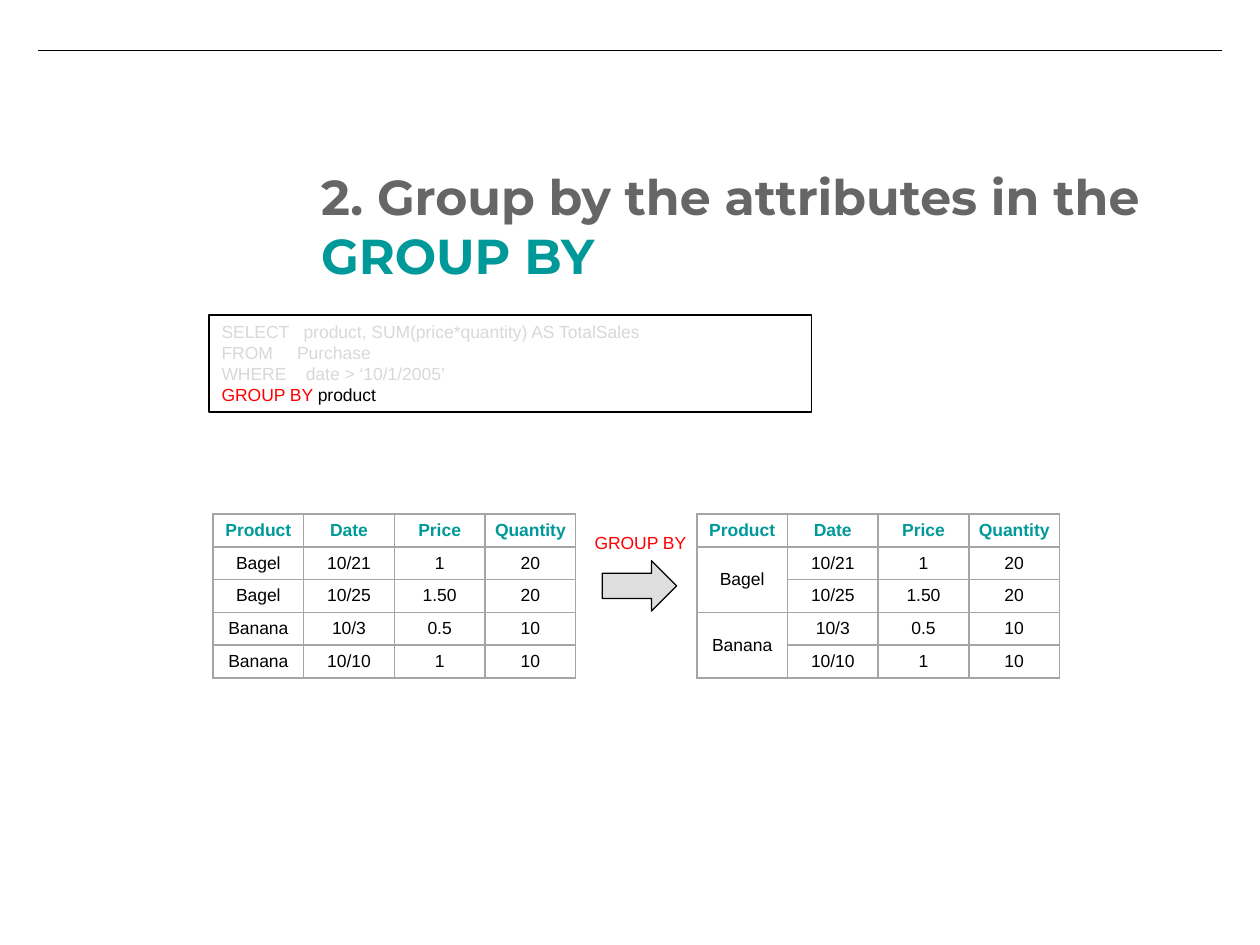
from dataclasses import dataclass
from pptx import Presentation
from pptx.dml.color import RGBColor as RGB
from pptx.enum.shapes import MSO_CONNECTOR as CONN, MSO_SHAPE as SHAPE
from pptx.enum.text import MSO_ANCHOR as ANCHOR, PP_ALIGN as ALIGN
from pptx.oxml import parse_xml
from pptx.oxml.ns import nsdecls, qn
from pptx.util import Emu, Pt


@dataclass(frozen=True)
class Theme:
    title_font: str = "Montserrat"
    body_font: str = "Arial"
    title_size: int = 28
    body_size: int = 10
    line_width: float = 0.75
    border_width: int = 1
    black: str = "000000"
    white: str = "FFFFFF"
    title: str = "666666"
    accent: str = "009999"
    faded: str = "D8D8D8"
    keyword: str = "FF0000"
    arrow: str = "BFBFBF"
    border: str = "A5A5A5"


class SlideBuilder:
    SCALE = 9144

    def __init__(self, prs, theme):
        self.theme = theme
        prs.slide_width, prs.slide_height = self.px(1000, 750)
        self.s = prs.slides.add_slide(prs.slide_layouts[6])

    def px(self, *values):
        return [Emu(v * self.SCALE) for v in values]

    def font(self, r, color, size=None, name=None, bold=False):
        r.font.size = Pt(size or self.theme.body_size)
        r.font.name = name or self.theme.body_font
        r.font.bold = bold
        r.font.color.rgb = RGB.from_string(color)

    def fill_text(self, tf, lines, pad=5, **style):
        tf.word_wrap = True
        tf.vertical_anchor = ANCHOR.TOP
        tf.margin_left, tf.margin_top, tf.margin_right, tf.margin_bottom = self.px(10, pad, 10, pad)
        for i, line in enumerate(lines):
            p = tf.add_paragraph() if i else tf.paragraphs[0]
            p.alignment = ALIGN.LEFT
            for text, color in line:
                r = p.add_run()
                r.text = text
                self.font(r, color, **style)

    def text(self, box, lines, **style):
        sp = self.s.shapes.add_textbox(*self.px(*box))
        self.fill_text(sp.text_frame, lines, **style)

    def shape(self, kind, box, fill, alpha=None):
        sp = self.s.shapes.add_shape(kind, *self.px(*box))
        sp.shadow.inherit = False
        sp.fill.solid()
        sp.fill.fore_color.rgb = RGB.from_string(fill)
        if alpha:
            color = sp.element.spPr.find(qn("a:solidFill"))[0]
            color.append(parse_xml(f'<a:alpha {nsdecls("a")} val="{alpha * 1000}"/>'))
        self.stroke(sp.line)
        return sp

    def stroke(self, line):
        line.color.rgb = RGB.from_string(self.theme.black)
        line.width = Pt(self.theme.line_width)

    def line(self, *ends):
        cn = self.s.shapes.add_connector(CONN.STRAIGHT, *self.px(*ends))
        self.stroke(cn.line)
        cn.element.spPr.append(parse_xml(f'<a:effectLst {nsdecls("a")}/>'))

    def borders(self, cell):
        tcPr = cell._tc.get_or_add_tcPr()
        for i, side in enumerate("LRTB"):
            tcPr.insert(i, parse_xml(
                f'<a:ln{side} {nsdecls("a")} w="{Pt(self.theme.border_width)}"><a:solidFill>'
                f'<a:srgbClr val="{self.theme.border}"/></a:solidFill></a:ln{side}>'))

    def table(self, left, top, rows, merges=()):
        col, row = 72, 26
        n_rows, n_cols = len(rows), len(rows[0])
        box = self.px(left, top, n_cols * col, n_rows * row)
        tbl = self.s.shapes.add_table(n_rows, n_cols, *box).table
        tbl.first_row = tbl.horz_banding = False
        for c in tbl.columns:
            c.width, = self.px(col)
        for i, values in enumerate(rows):
            tbl.rows[i].height, = self.px(row)
            for j, value in enumerate(values):
                self.cell(tbl.cell(i, j), value, header=i == 0)
        for first, last in merges:
            tbl.cell(first, 0).merge(tbl.cell(last, 0))

    def cell(self, cell, value, header):
        cell.fill.background()
        self.borders(cell)
        cell.vertical_anchor = ANCHOR.MIDDLE
        cell.margin_left, cell.margin_top, cell.margin_right, cell.margin_bottom = self.px(6, 3, 6, 3)
        p = cell.text_frame.paragraphs[0]
        p.text = value
        p.alignment = ALIGN.CENTER
        color = self.theme.accent if header else self.theme.black
        for r in p.runs or [p]:
            self.font(r, color, bold=header)


def main():
    t = Theme()
    prs = Presentation()
    b = SlideBuilder(prs, t)

    b.line(30, 40, 970, 40)
    b.text((245, 122, 731, 127),
           [[("2. Group by the attributes in the ", t.title), ("GROUP BY", t.accent)]],
           pad=10, size=t.title_size, name=t.title_font, bold=True)

    header = ["Product", "Date", "Price", "Quantity"]
    purchases = [
        ["Bagel", "10/21", "1", "20"],
        ["Bagel", "10/25", "1.50", "20"],
        ["Banana", "10/3", "0.5", "10"],
        ["Banana", "10/10", "1", "10"],
    ]
    grouped = [["" if i % 2 else row[0], *row[1:]] for i, row in enumerate(purchases)]
    b.table(169, 408, [header, *purchases])
    b.shape(SHAPE.RIGHT_ARROW, (478, 445, 59, 40), t.arrow, alpha=50)

    query = b.shape(SHAPE.RECTANGLE, (166, 250, 478, 77), t.white)
    b.fill_text(query.text_frame, [
        [("SELECT   product, SUM(price*quantity) AS TotalSales", t.faded)],
        [("FROM     Purchase", t.faded)],
        [("WHERE    date > ‘10/1/2005’", t.faded)],
        [("GROUP BY ", t.keyword), ("product", t.black)],
    ])
    b.text((462, 417, 98, 27), [[("GROUP BY", t.keyword)]])
    b.table(553, 408, [header, *grouped], merges=[(1, 2), (3, 4)])

    prs.save("out.pptx")


if __name__ == "__main__":
    main()
